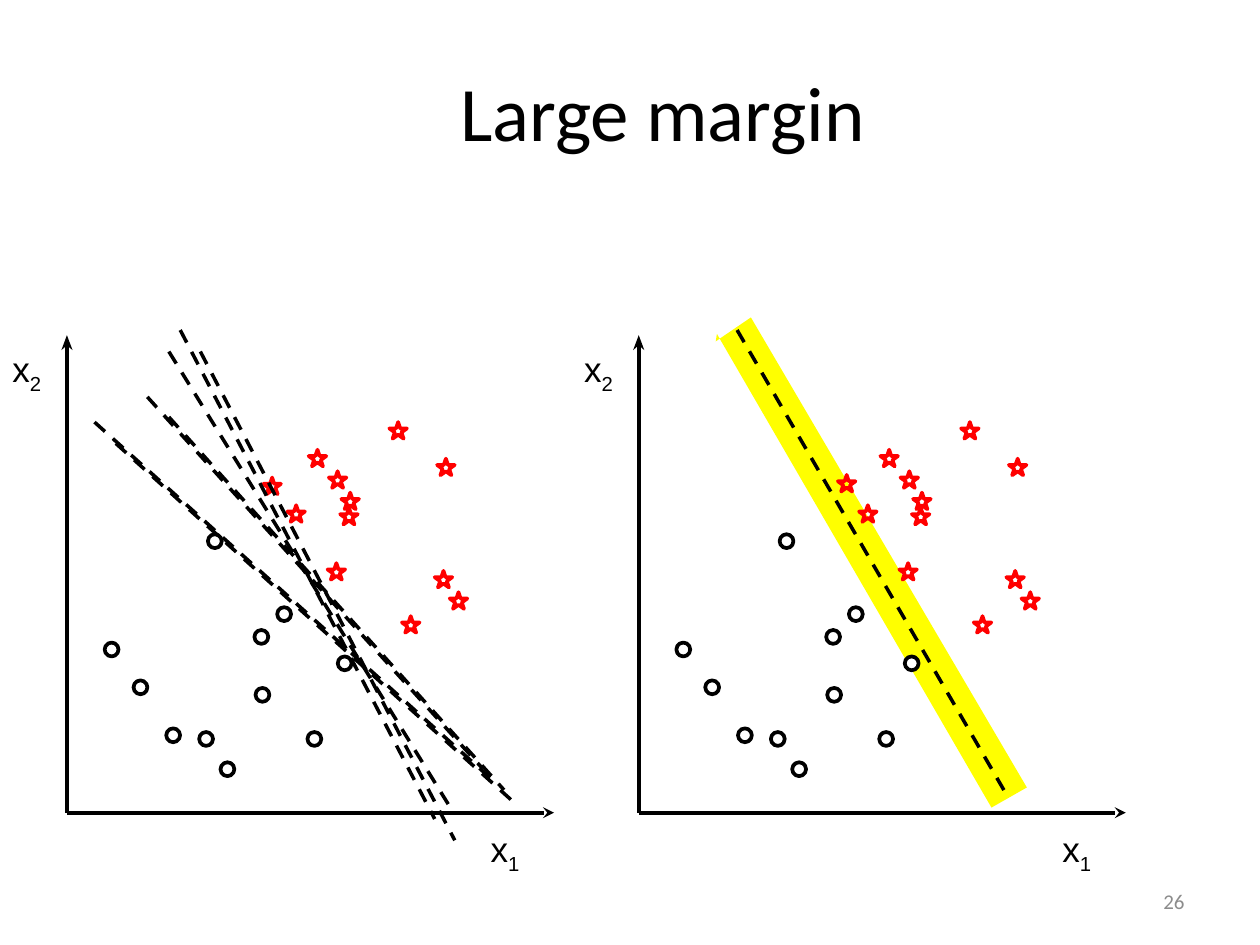
from pptx import Presentation
from pptx import util as u
from pptx.dml.color import RGBColor
from pptx.enum import dml, shapes, text
from pptx.oxml.ns import qn
from lxml import etree

BLACK, WHITE, RED, YELLOW, GREY = "000000", "FFFFFF", "FF0000", "FFFF00", "8C8C8C"
PANEL_SHIFT = 326.7
CIRCLE_SIZE = (7.9, 7.9)
STAR_SIZE = (10.1, 9.5)

CIRCLES = [
    (126, 435.6), (113.8, 418.3), (175.7, 418.3), (95, 416.2), (59.8, 367.2),
    (145.4, 360), (76.3, 388.8), (146, 393.1), (118.8, 305.3), (158.4, 347),
]
STARS = [
    (248.4, 326.2), (257, 338.4), (187.9, 269.3), (187.2, 321.8),
    (194.4, 290.2), (176.4, 257), (222.5, 241.2), (195.1, 281.5),
    (249.8, 262.1), (229.7, 352.1), (164.2, 288.7),
]
CANDIDATES = [
    (96.5, 200.9, 257.8, 462.2), (84.2, 226.8, 275.8, 439.2),
    (54, 241.2, 282.2, 446.4), (103, 188.6, 248.4, 468),
    (96.5, 238.3, 288, 451.4), (66.2, 253.4, 293.8, 458.6),
    (114.5, 200.9, 259.9, 480.2),
]
MARGIN_BAND = [(409, 195.1), (429.1, 181.4), (586.8, 450),
               (566.6, 461.5), (409.7, 190.8)]


def color(value):
    return RGBColor.from_string(value)


class Deck:
    def __init__(self, slide):
        self.s = slide
        self.shapes = slide.shapes
        self.weight = 2.13

    def open_group(self):
        self.shapes = self.s.shapes.add_group_shape().shapes

    def close_group(self):
        self.shapes = self.s.shapes

    def marker(self, kind, x, y, size, line, fill=None):
        sp = self.shapes.add_shape(kind, *map(u.Pt, (x, y, *size)))
        sp.shadow.inherit = False
        if fill:
            sp.fill.solid()
            sp.fill.fore_color.rgb = color(fill)
        else:
            sp.fill.background()
        sp.line.color.rgb = color(line)
        sp.line.width = u.Pt(self.weight)

    def circle(self, x, y):
        self.marker(shapes.MSO_SHAPE.OVAL, x, y, CIRCLE_SIZE, BLACK, WHITE)

    def star(self, x, y):
        self.marker(shapes.MSO_SHAPE.STAR_5_POINT, x, y, STAR_SIZE, RED)

    def line(self, x1, y1, x2, y2, dashed=False, arrow=False):
        c = self.shapes.add_connector(
            shapes.MSO_CONNECTOR.STRAIGHT, *map(u.Pt, (x1, y1, x2, y2)))
        c.line.color.rgb = color(BLACK)
        c.line.width = u.Pt(2 if dashed else self.weight)
        if dashed:
            c.line.dash_style = dml.MSO_LINE.DASH
        if arrow:
            ln = c.line._get_or_add_ln()
            etree.SubElement(ln, qn("a:tailEnd"), type="stealth")
        etree.SubElement(c._element.spPr, qn("a:effectLst"))

    def polygon(self, points, fill, close=True):
        pts = [(u.Pt(x), u.Pt(y)) for x, y in points]
        builder = self.shapes.build_freeform(*pts[0], scale=1.0)
        builder.add_line_segments(pts[1:], close=close)
        sp = builder.convert_to_shape()
        sp.shadow.inherit = False
        sp.fill.solid()
        sp.fill.fore_color.rgb = color(fill)
        sp.line.fill.background()

    def text(self, words, x, y, w, h, size, font, ink=BLACK, align="LEFT",
             anchor="MIDDLE", fill=None, subscript=None):
        sp = self.shapes.add_textbox(*map(u.Pt, (x, y, w, h)))
        if fill:
            sp.fill.solid()
            sp.fill.fore_color.rgb = color(fill)
        tf = sp.text_frame
        tf.word_wrap = True
        tf.vertical_anchor = text.MSO_ANCHOR[anchor]
        tf.text = words
        p = tf.paragraphs[0]
        p.alignment = text.PP_ALIGN[align]
        if subscript:
            r = p.add_run()
            r.text = subscript
            r._r.get_or_add_rPr().set("baseline", "-25000")
        for r in p.runs:
            r.font.size = u.Pt(size)
            r.font.name = font
            r.font.color.rgb = color(ink)

    def axis_label(self, subscript, x, y, w):
        self.text("x", x, y, w, 31, 20, "Arial", anchor="TOP",
                  fill=WHITE, subscript=subscript)

    def plot(self, dx, edge_circle, edge_star):
        self.open_group()
        ox, oy, top = dx + 38.3, 464.4, 191.5
        self.axis_label("1", dx + 273.3, 469.4, 54.7)
        self.axis_label("2", dx, 195.1, 35.3)
        self.line(ox, oy, dx + 316.6, oy, arrow=True)
        self.line(ox, oy, ox, top + 5.8)
        self.polygon([(ox - 3.2, top + 8.6), (ox, top),
                      (ox + 3.2, top + 8.6), (ox, top + 5.8)], BLACK)
        for x, y in CIRCLES + [edge_circle]:
            self.circle(dx + x, y)
        for x, y in STARS + [edge_star]:
            self.star(dx + x, y)
        self.close_group()


def main():
    prs = Presentation()
    prs.slide_width, prs.slide_height = u.Pt(720), u.Pt(540)
    deck = Deck(prs.slides.add_slide(prs.slide_layouts[6]))
    deck.polygon(MARGIN_BAND, YELLOW, close=False)
    deck.text("Large margin", 72.7, 18, 612, 90, 44, "Calibri", align="CENTER")
    deck.plot(0, (193, 375.1), (150.5, 272.9))
    for ends in CANDIDATES:
        deck.line(*ends, dashed=True)
    deck.plot(PANEL_SHIFT, (190.3, 375.1), (152.1, 271.4))
    deck.line(421.2, 188.6, 575.3, 454.3, dashed=True)
    deck.text("26", 516, 500.5, 168, 28.8, 12, "Calibri", GREY, "RIGHT")
    prs.save("out.pptx")


if __name__ == "__main__":
    main()
